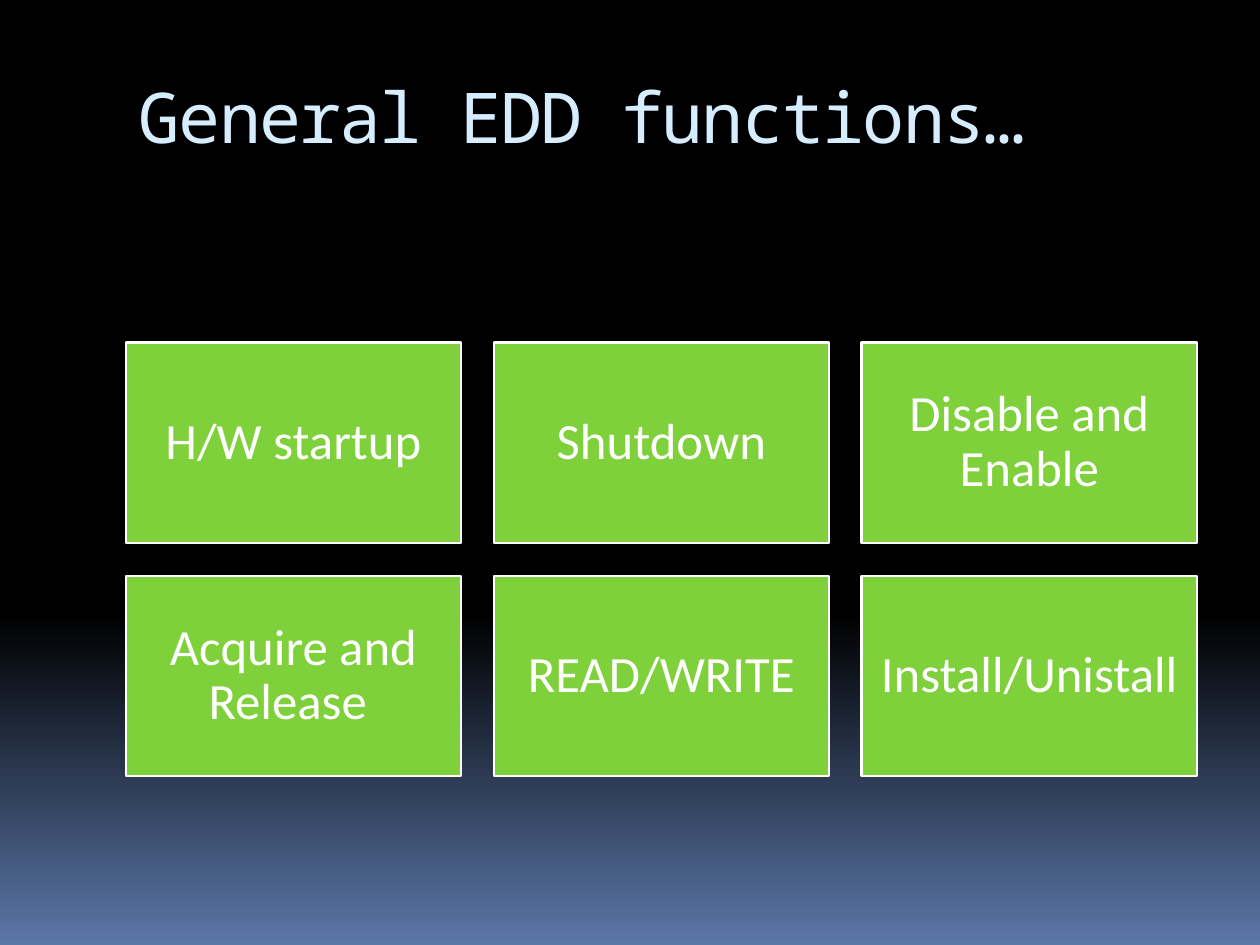
from copy import deepcopy
from dataclasses import dataclass

from pptx import Presentation
from pptx.dml.color import RGBColor as RGB
from pptx.enum.shapes import MSO_SHAPE as SHAPE
from pptx.enum.text import MSO_ANCHOR as ANCHOR, PP_ALIGN as ALIGN
from pptx.oxml.ns import qn
from pptx.util import Inches, Pt


@dataclass(frozen=True)
class Theme:
    """Colours, fonts and type sizes of the slide."""
    night: RGB = RGB.from_string("000000")
    dusk: RGB = RGB.from_string("5B77A8")
    heading: RGB = RGB.from_string("D6ECFF")
    tile: RGB = RGB.from_string("7FD13B")
    white: RGB = RGB.from_string("FFFFFF")
    heading_font: str = "Noto Sans Mono"
    tile_font: str = "Calibri"
    heading_size: int = 40
    tile_size: int = 29


def write(tf, text, *, font, size, color, align=ALIGN.LEFT, anchor=ANCHOR.TOP,
          margin=(0.1, 0.05), line=1.0, after=0, tracking=None):
    """Fill a text frame with one formatted paragraph."""
    tf.word_wrap = True
    tf.vertical_anchor = anchor
    tf.margin_left = tf.margin_right = Inches(margin[0])
    tf.margin_top = tf.margin_bottom = Inches(margin[1])
    p = tf.paragraphs[0]
    p.alignment, p.line_spacing, p.space_after = align, line, Pt(after)
    r = p.add_run()
    r.text = text
    r.font.name, r.font.size, r.font.color.rgb = font, Pt(size), color
    if tracking is not None:
        r.font._element.set("spc", str(int(tracking * 100)))


class Deck:
    """Holds the theme and the current slide."""

    def __init__(self, prs, theme):
        """Start a title-only slide."""
        self.theme = theme
        self.s = prs.slides.add_slide(prs.slide_layouts[5])

    def background(self):
        """Fade from black to blue over the lower third."""
        fill = self.s.background.fill
        fill.gradient()
        fill.gradient_angle = 270
        first, last = fill.gradient_stops
        first.color.rgb, first.position = self.theme.night, 0
        last.color.rgb, last.position = self.theme.dusk, 1
        gs = next(self.s.element.iter(qn("a:gs")))
        middle = deepcopy(gs)
        middle.set("pos", "65000")
        gs.addnext(middle)

    def title(self, text, x, y, w, h):
        """Place and fill the title placeholder."""
        t = self.theme
        sp = self.s.shapes.title
        sp.left, sp.top, sp.width, sp.height = map(Inches, (x, y, w, h))
        write(sp.text_frame, text, font=t.heading_font, size=t.heading_size,
              color=t.heading, margin=(0.1, 0.02), tracking=-1)

    def tile(self, text, x, y, w, h):
        """Add an outlined rectangle with centred text."""
        t = self.theme
        sp = self.s.shapes.add_shape(SHAPE.RECTANGLE, *map(Inches, (x, y, w, h)))
        sp.shadow.inherit = False
        sp.fill.solid()
        sp.fill.fore_color.rgb = t.tile
        sp.line.color.rgb, sp.line.width = t.white, Pt(1.5)
        write(sp.text_frame, text, font=t.tile_font, size=t.tile_size,
              color=t.white, align=ALIGN.CENTER, anchor=ANCHOR.MIDDLE,
              margin=(0.12, 0.12), line=0.9)

    def grid(self, labels, x, y, w, h, gap, columns):
        """Lay tiles out row by row with equal gaps."""
        for i, label in enumerate(labels):
            row, col = divmod(i, columns)
            self.tile(label, x + col * (w + gap), y + row * (h + gap), w, h)


def main():
    """Build and save the slide."""
    prs = Presentation()
    prs.slide_width, prs.slide_height = Inches(10), Inches(7.5)
    deck = Deck(prs, Theme())
    deck.background()
    deck.title("General EDD functions…", 1, 0.56, 8.5, 1)
    functions = ["H/W startup", "Shutdown", "Disable and Enable",
                 "Acquire and Release ", "READ/WRITE", "Install/Unistall"]
    deck.grid(functions, 1, 2.72, 2.66, 1.59, gap=0.26, columns=3)
    prs.save("out.pptx")


if __name__ == "__main__":
    main()
